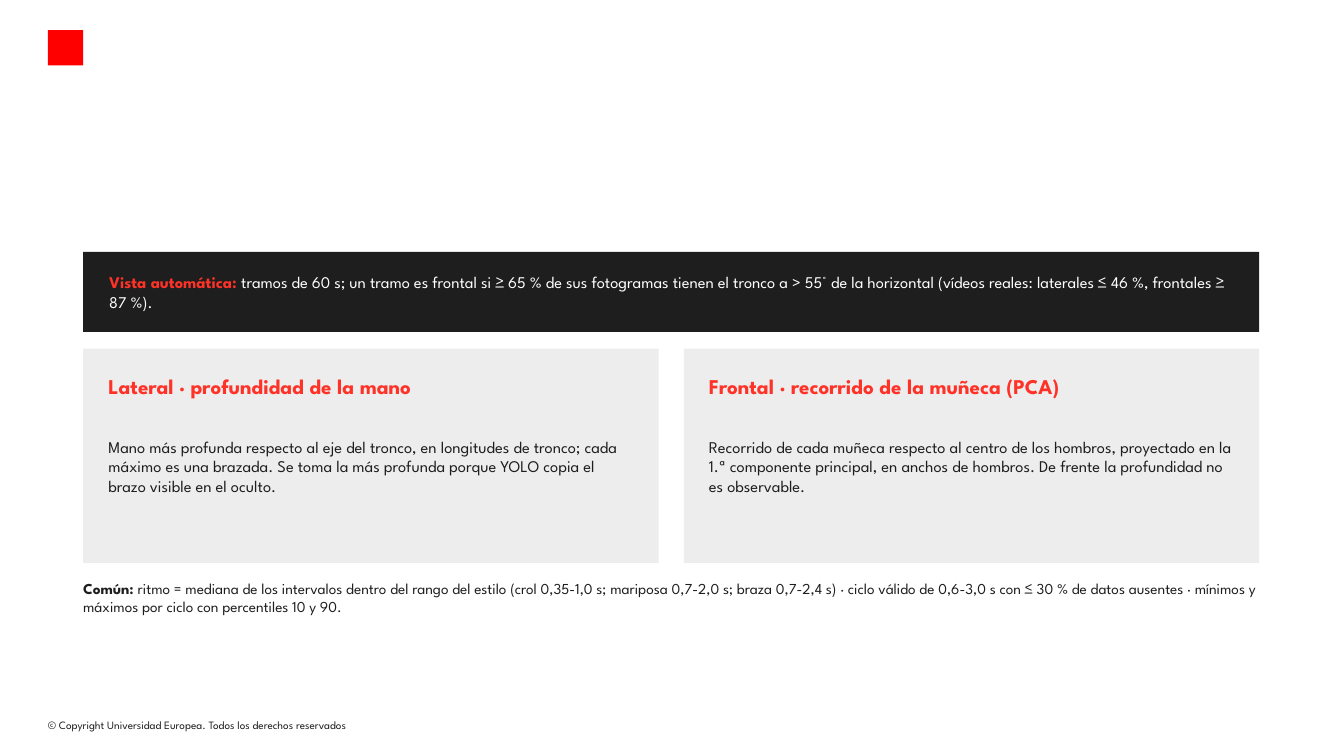
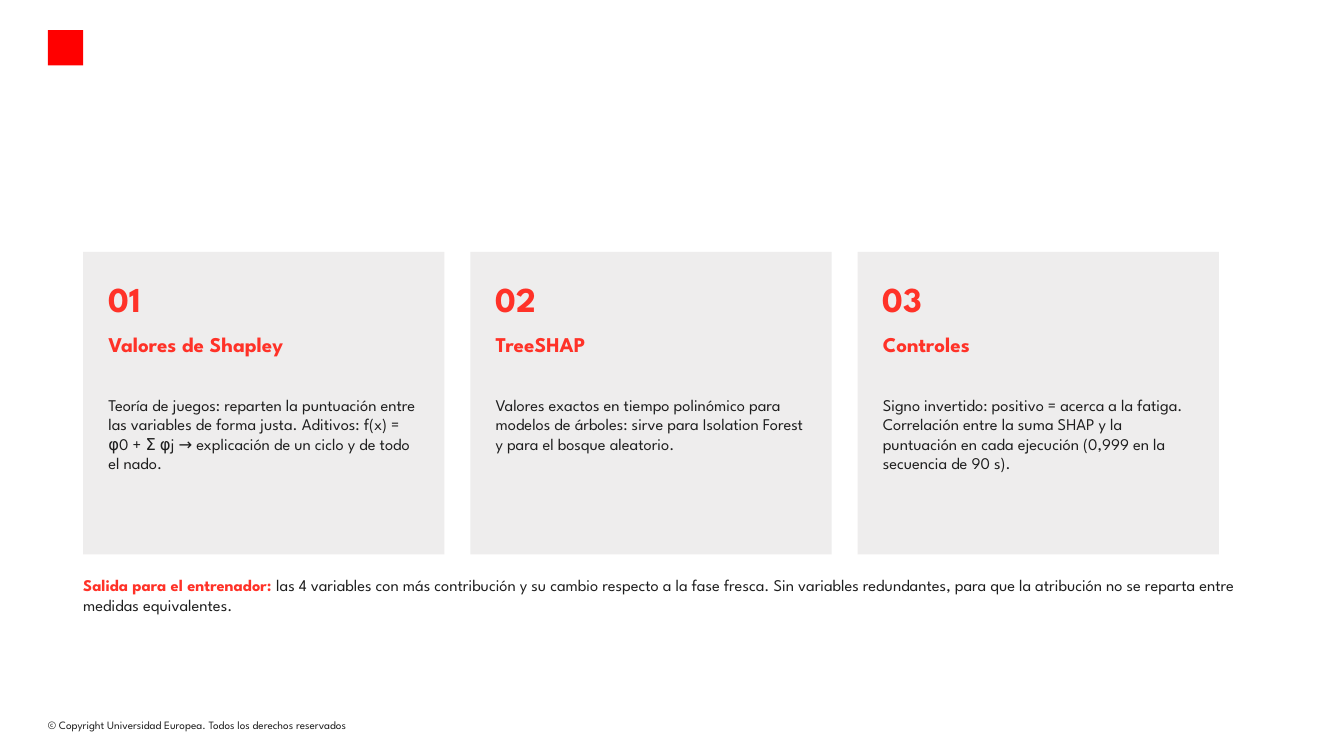
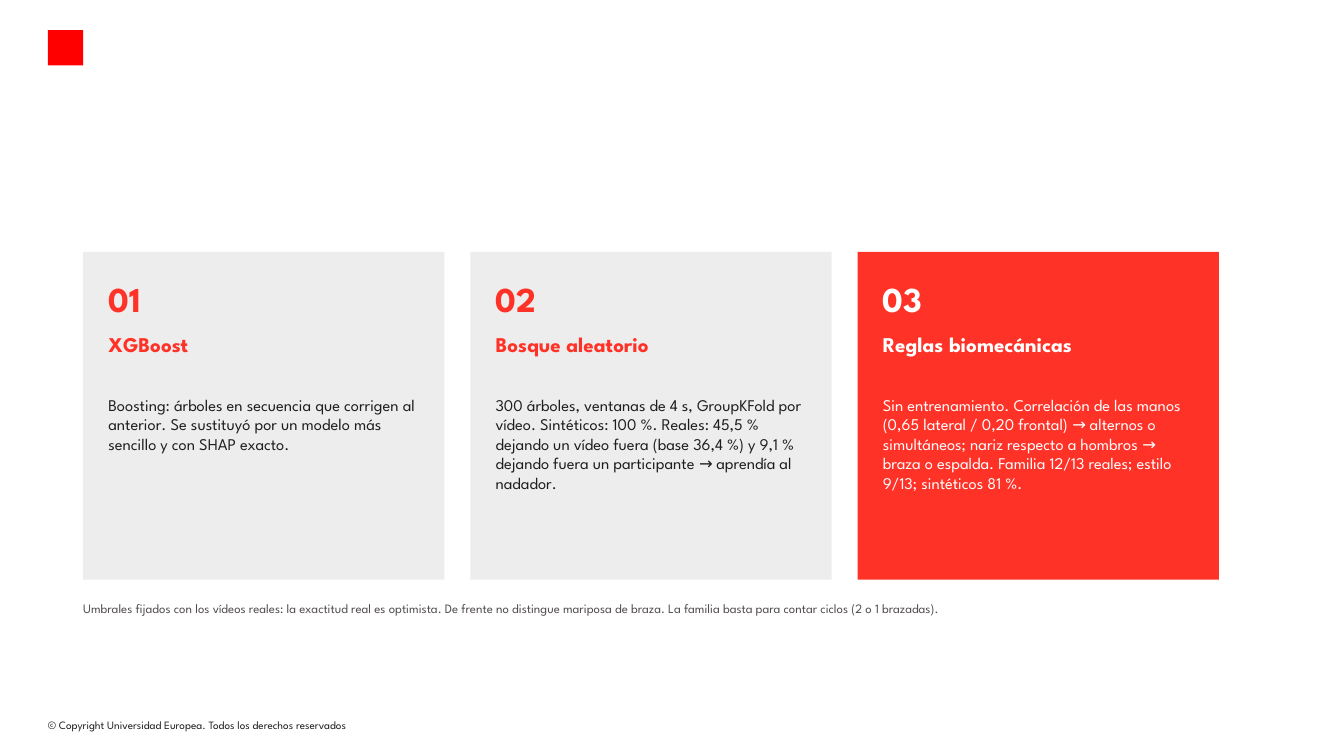
import pptx
import pptx.dml.color
import pptx.enum.shapes
import pptx.enum.text
import pptx.util

Inches = pptx.util.Inches
Pt = pptx.util.Pt
RGBColor = pptx.dml.color.RGBColor
Anchor = pptx.enum.text.MSO_ANCHOR

INK = RGBColor(0x1E, 0x1E, 0x1E)
RED = RGBColor(0xFF, 0x32, 0x28)
MARK = RGBColor(0xFF, 0x00, 0x00)
PALE = RGBColor(0xEE, 0xED, 0xED)
GREY = RGBColor(0x50, 0x4B, 0x4B)
WHITE = RGBColor(0xFF, 0xFF, 0xFF)

FONT = "League Spartan"
LEFT, TOP, WIDE, PAD = 0.99, 3, 14, 0.3

FOOTER = "© Copyright Universidad Europea. Todos los derechos reservados"

BANNER = (
    "Vista automática: ",
    "tramos de 60 s; un tramo es frontal si ≥ 65 % de sus fotogramas tienen "
    "el tronco a > 55° de la horizontal (vídeos reales: laterales ≤ 46 %, "
    "frontales ≥ 87 %).",
)

# Each deck entry: optional banner, row of cards, closing note
SLIDES = [
    {
        "banner": BANNER,
        "row": {"top": 4.15, "width": 6.85, "height": 2.55, "gap": 0.3},
        "cards": [
            ("Lateral · profundidad de la mano",
             "Mano más profunda respecto al eje del tronco, en longitudes de "
             "tronco; cada máximo es una brazada. Se toma la más profunda "
             "porque YOLO copia el brazo visible en el oculto."),
            ("Frontal · recorrido de la muñeca (PCA)",
             "Recorrido de cada muñeca respecto al centro de los hombros, "
             "proyectado en la 1.ª componente principal, en anchos de hombros. "
             "De frente la profundidad no es observable."),
        ],
        "note": {
            "box": (LEFT, 6.9, WIDE, 0.8),
            "lead": "Común: ",
            "text": "ritmo = mediana de los intervalos dentro del rango del "
                    "estilo (crol 0,35-1,0 s; mariposa 0,7-2,0 s; braza "
                    "0,7-2,4 s) · ciclo válido de 0,6-3,0 s con ≤ 30 % de "
                    "datos ausentes · mínimos y máximos por ciclo con "
                    "percentiles 10 y 90.",
            "size": 13,
        },
    },
    {
        "row": {"height": 3.6, "numbered": True},
        "cards": [
            ("Valores de Shapley",
             "Teoría de juegos: reparten la puntuación entre las variables de "
             "forma justa. Aditivos: f(x) = φ0 + Σ φj → explicación de un "
             "ciclo y de todo el nado."),
            ("TreeSHAP",
             "Valores exactos en tiempo polinómico para modelos de árboles: "
             "sirve para Isolation Forest y para el bosque aleatorio."),
            ("Controles",
             "Signo invertido: positivo = acerca a la fatiga. Correlación "
             "entre la suma SHAP y la puntuación en cada ejecución (0,999 en "
             "la secuencia de 90 s)."),
        ],
        "note": {
            "box": (LEFT, 6.85, WIDE, 0.7),
            "lead": "Salida para el entrenador: ",
            "text": "las 4 variables con más contribución y su cambio respecto "
                    "a la fase fresca. Sin variables redundantes, para que la "
                    "atribución no se reparta entre medidas equivalentes.",
            "hue": RED,
        },
    },
    {
        "row": {"height": 3.9, "numbered": True, "accent": 2},
        "cards": [
            ("XGBoost",
             "Boosting: árboles en secuencia que corrigen al anterior. Se "
             "sustituyó por un modelo más sencillo y con SHAP exacto."),
            ("Bosque aleatorio",
             "300 árboles, ventanas de 4 s, GroupKFold por vídeo. Sintéticos: "
             "100 %. Reales: 45,5 % dejando un vídeo fuera (base 36,4 %) y "
             "9,1 % dejando fuera un participante → aprendía al nadador."),
            ("Reglas biomecánicas",
             "Sin entrenamiento. Correlación de las manos (0,65 lateral / "
             "0,20 frontal) → alternos o simultáneos; nariz respecto a "
             "hombros → braza o espalda. Familia 12/13 reales; estilo 9/13; "
             "sintéticos 81 %."),
        ],
        "note": {
            "box": (LEFT, 7.15, 13.5, 0.35),
            "text": "Umbrales fijados con los vídeos reales: la exactitud real "
                    "es optimista. De frente no distingue mariposa de braza. "
                    "La familia basta para contar ciclos (2 o 1 brazadas).",
            "size": 11,
            "color": GREY,
        },
    },
]


def add_rect(slide, box, fill):
    rect = slide.shapes.add_shape(
        pptx.enum.shapes.MSO_SHAPE.RECTANGLE, *map(Inches, box))
    rect.shadow.inherit = False
    rect.fill.solid()
    rect.fill.fore_color.rgb = fill
    rect.line.fill.background()
    return rect


def add_text(slide, box, text, lead="", size=14, color=INK, hue=INK,
             bold=False, inset=0, after=6, wrap=True, anchor=Anchor.TOP):
    """Add a text box; lead is a bold opening run in the colour hue."""
    label = slide.shapes.add_textbox(*map(Inches, box))
    frame = label.text_frame
    frame.word_wrap = wrap
    frame.auto_size = pptx.enum.text.MSO_AUTO_SIZE.SHAPE_TO_FIT_TEXT
    frame.vertical_anchor = anchor
    frame.margin_left = frame.margin_right = Inches(inset)
    frame.margin_top = frame.margin_bottom = Inches(inset / 2)
    para = frame.paragraphs[0]
    para.space_after = Pt(after)
    for part, tint, heavy in ((lead, hue, True), (text, color, bold)):
        if part:
            run = para.add_run()
            run.text = part
            run.font.name = FONT
            run.font.size = Pt(size)
            run.font.bold = heavy
            run.font.color.rgb = tint
    return label


def add_brand(slide, layout):
    """Draw the corner mark and footer, then move them to the layout."""
    for holder in list(layout.placeholders):
        layout.shapes.element.remove(holder.element)
    footer = add_text(slide, (0.47, 8.5, 4.42, 0.26), FOOTER, size=9.6,
                      inset=0.1, after=0, wrap=False)
    mark = add_rect(slide, (0.57, 0.36, 0.42, 0.42), MARK)
    for shape in (footer, mark):
        layout.shapes.element.append(shape.element)


def add_banner(slide, lead, text):
    add_rect(slide, (LEFT, TOP, WIDE, 0.95), INK)
    add_text(slide, (1.3, TOP, 13.4, 0.95), text, lead=lead, hue=RED,
             color=WHITE, anchor=Anchor.MIDDLE)


def add_cards(slide, cards, height, top=TOP, width=4.3, gap=0.31,
              numbered=False, accent=None):
    inner = width - 2 * PAD
    for pos, (title, body) in enumerate(cards):
        left = LEFT + pos * (width + gap)
        fill, head, color = PALE, RED, INK
        if pos == accent:
            fill, head, color = RED, WHITE, WHITE
        add_rect(slide, (left, top, width, height), fill)
        x, y = left + PAD, top + PAD
        if numbered:
            add_text(slide, (x, y, inner, 0.6), f"{pos + 1:02}", size=30,
                     color=head, bold=True)
            y += 0.65
        add_text(slide, (x, y, inner, 0.8), title, size=18, color=head,
                 bold=True)
        y += 0.75
        add_text(slide, (x, y, inner, top + height - 0.2 - y), body,
                 color=color)


def main():
    deck = pptx.Presentation()
    deck.slide_width, deck.slide_height = Inches(16), Inches(9)
    blank = deck.slide_layouts[6]
    for pos, item in enumerate(SLIDES):
        slide = deck.slides.add_slide(blank)
        if pos == 0:
            add_brand(slide, blank)
        if "banner" in item:
            add_banner(slide, *item["banner"])
        add_cards(slide, item["cards"], **item["row"])
        add_text(slide, **item["note"])
    deck.save("out.pptx")


if __name__ == "__main__":
    main()
